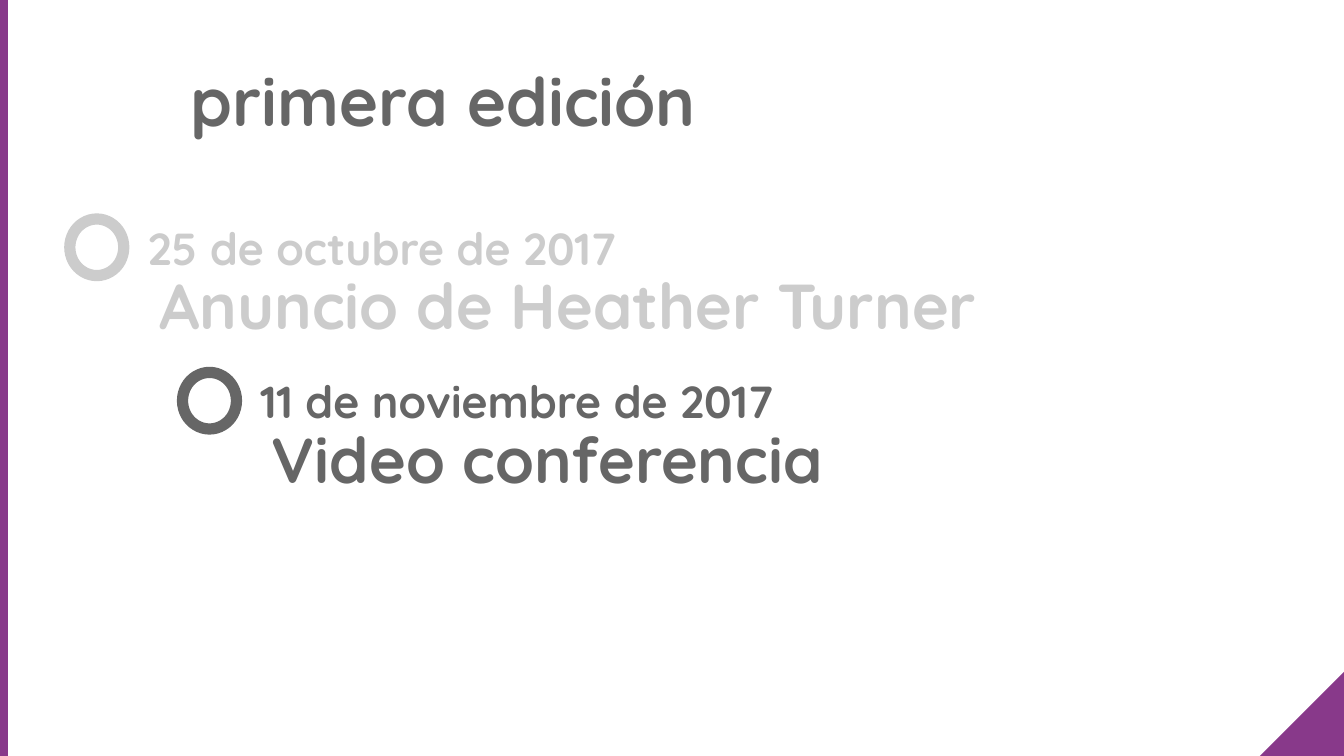
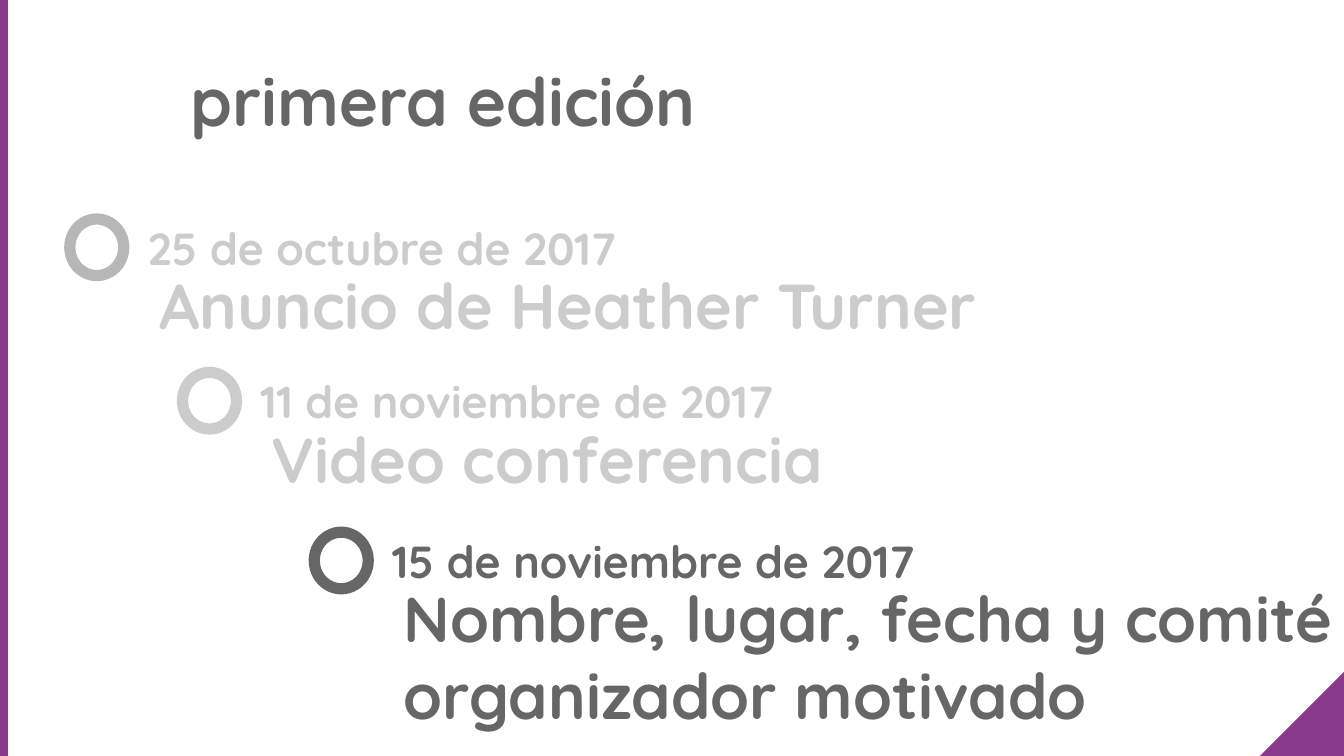
from pptx import Presentation
from pptx import util as u
from pptx.dml import color
from pptx.enum import shapes, text

WIDTH, HEIGHT = 25.4, 14.29
PURPLE, DARK, SILVER, PALE = "88398A", "666666", "B7B7B7", "CCCCCC"
TITLE = "primera edición"
TITLE_BOX = (3.35, 0.86, 10.11, 1.8)
STEPS = [
    ((1.32, 4.14), 16.69, "25 de octubre de 2017", "Anuncio de Heather Turner"),
    ((3.45, 7.04), 16.69, "11 de noviembre de 2017", "Video conferencia"),
    ((5.94, 10.06), 19.63, "15 de noviembre de 2017",
     "Nombre, lugar, fecha y comité organizador motivado"),
]
PAGES = [
    [(PALE, PALE), (DARK, DARK)],
    [(SILVER, PALE), (PALE, PALE), (DARK, DARK)],
]


def rgb(value):
    """Turn a hex string into a colour."""
    return color.RGBColor.from_string(value)


def cm(*values):
    """Turn centimetre numbers into lengths."""
    return [u.Cm(value) for value in values]


def write(shape, words, size, ink):
    """Put one formatted, top-left paragraph in a shape."""
    frame = shape.text_frame
    inset = u.Inches(0.1)
    layout = {"word_wrap": True, "auto_size": text.MSO_AUTO_SIZE.NONE,
              "vertical_anchor": text.MSO_ANCHOR.TOP,
              "margin_left": inset, "margin_right": inset,
              "margin_top": inset, "margin_bottom": inset}
    for name, value in layout.items():
        setattr(frame, name, value)
    para = frame.paragraphs[0]
    para.alignment = text.PP_ALIGN.LEFT
    span = para.add_run()
    span.text = words
    for name, value in {"name": "Quicksand", "size": u.Pt(size), "bold": True}.items():
        setattr(span.font, name, value)
    span.font.color.rgb = rgb(ink)


def paint(shape, fill):
    """Give a shape a flat fill without line or shadow."""
    shape.shadow.inherit = False
    shape.fill.solid()
    shape.fill.fore_color.rgb = rgb(fill)
    shape.line.fill.background()


def add_frame(page):
    """Draw the purple corner and the left band."""
    side = 1.59
    builder = page.shapes.build_freeform(*cm(WIDTH, HEIGHT))
    builder.add_line_segments([cm(WIDTH - side, HEIGHT), cm(WIDTH, HEIGHT - side)])
    paint(builder.convert_to_shape(), PURPLE)
    band = page.shapes.add_shape(shapes.MSO_SHAPE.RECTANGLE, *cm(0, 0, 0.15, HEIGHT))
    paint(band, PURPLE)


def add_title(page, box):
    """Place the title in its placeholder."""
    title = page.shapes.title
    title.left, title.top, title.width, title.height = cm(*box)
    write(title, TITLE, 36, DARK)


def add_step(page, step, ring_ink, ink):
    """Draw a ring with its date and its event beside it."""
    (left, top), width, date, event = step
    ring = page.shapes.add_shape(shapes.MSO_SHAPE.OVAL, *cm(left, top, 1.02, 1.07))
    ring.shadow.inherit = False
    ring.fill.background()
    ring.line.color.rgb = rgb(ring_ink)
    ring.line.width = u.Pt(6)
    labels = [(1.22, -0.23, 13.92, date, 24), (1.44, 0.64, width, event, 34)]
    for across, down, span_width, words, size in labels:
        box = page.shapes.add_textbox(*cm(left + across, top + down, span_width, 1.8))
        write(box, words, size, ink)


def add_page(deck, inks):
    """Build one timeline slide with a step for each pair of inks."""
    page = deck.slides.add_slide(deck.slide_layouts.get_by_name("Title Only"))
    add_frame(page)
    add_title(page, TITLE_BOX)
    for step, (ring_ink, ink) in zip(STEPS, inks):
        add_step(page, step, ring_ink, ink)


def main():
    """Build and save the deck."""
    deck = Presentation()
    deck.slide_width, deck.slide_height = cm(WIDTH, HEIGHT)
    for inks in PAGES:
        add_page(deck, inks)
    deck.save("out.pptx")


if __name__ == "__main__":
    main()
